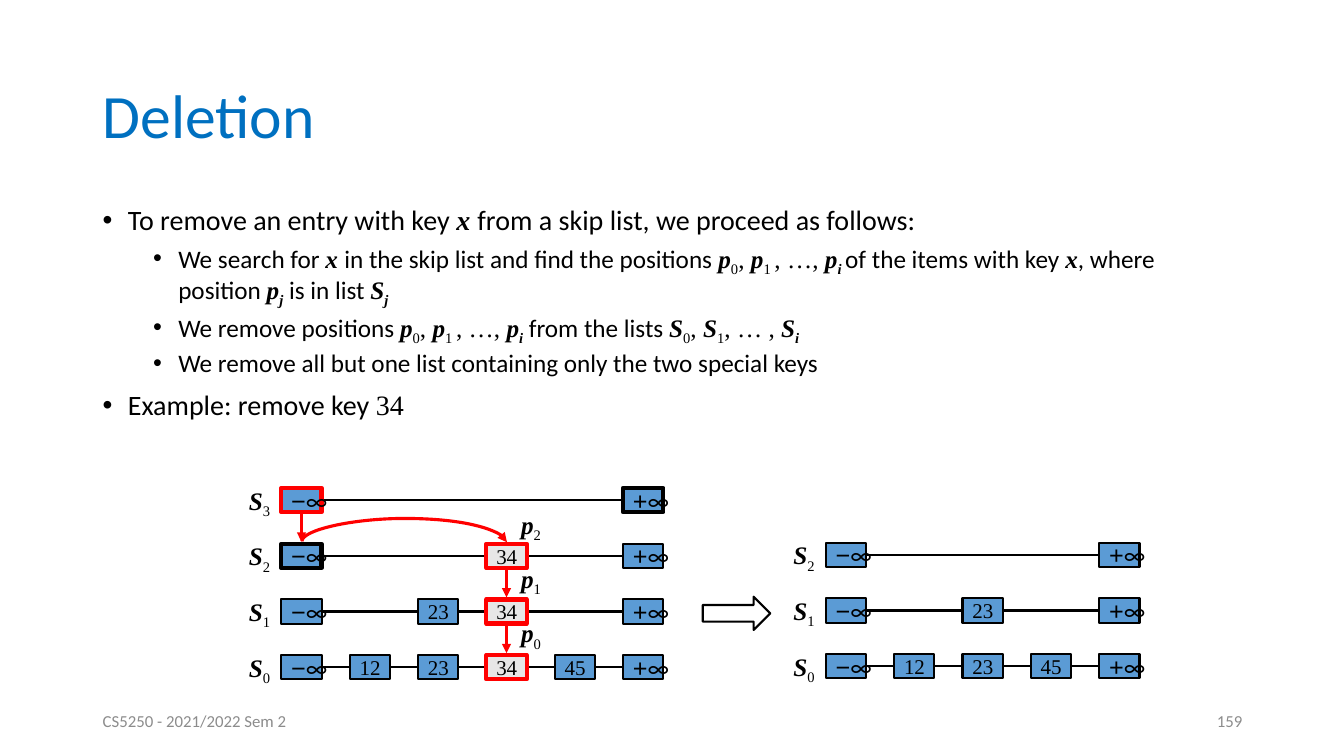
from pptx import Presentation
from pptx import util as u
from pptx.dml.color import RGBColor
from pptx.enum import shapes, text
from pptx.oxml import parse_xml
from pptx.oxml.ns import nsdecls

BLACK = RGBColor(0, 0, 0)
RED = RGBColor(0xFF, 0, 0)
BLUE = RGBColor(0x5B, 0x9B, 0xD5)
PALE = RGBColor(0xE7, 0xE6, 0xE6)
TITLE = RGBColor(0, 0x70, 0xC0)
GREY = RGBColor(0x8C, 0x8C, 0x8C)
SANS, SERIF = "Calibri", "Times New Roman"

# Run styles: font, bold italic, subscript
STYLE = {
    "text": (SANS, False, False), "var": (SERIF, True, False),
    "num": (SERIF, False, False), "sub": (SERIF, False, True),
    "varsub": (SERIF, True, True), "sign": ("Arial", False, False),
}

# Content: bullets as (level, runs)
POS = [("p", "var"), ("0", "sub"), (", ", "num"), ("p", "var"),
       ("1 ", "sub"), (", …, ", "num"), ("p", "var")]
BODY = [
    (0, [("To remove an entry with key ", "text"), ("x ", "var"),
         ("from a skip list, we proceed as follows:", "text")]),
    (1, [("We search for ", "text"), ("x ", "var"),
         ("in the skip list and find the positions ", "text"), *POS,
         ("i ", "varsub"), ("of the items with key ", "text"), ("x", "var"),
         (", where position ", "text"), ("p", "var"), ("j", "varsub"),
         (" is in list ", "text"), ("S", "var"), ("j", "varsub")]),
    (1, [("We remove positions ", "text"), *POS, ("i", "varsub"),
         (" from the lists ", "text"), ("S", "var"), ("0", "sub"),
         (", ", "num"), ("S", "var"), ("1", "sub"), (", … , ", "num"),
         ("S", "var"), ("i", "varsub")]),
    (1, [("We remove all but one list containing only the two special keys",
          "text")]),
    (0, [("Example: remove key ", "text"), ("34", "num")]),
]
# Bullet format by level: size, indent, space before
LEVEL = [(20, 0.25, 10), (18, 0.75, 5)]

# Skip lists: left, bottom row, keys by column, levels from S0 upwards
LISTS = [
    (2.79, 6.5, ["−∞", "12", "23", "34", "45", "+∞"],
     [[0, 1, 2, 3, 4, 5], [0, 2, 3, 5], [0, 3, 5], [0, 5]]),
    (8.19, 6.49, ["−∞", "12", "23", "45", "+∞"],
     [[0, 1, 2, 3, 4], [0, 2, 4], [0, 4]]),
]
# Outlines on the search path: (list, level, column)
MARK = {(0, 3, 0): RED, (0, 3, 5): BLACK, (0, 2, 0): BLACK,
        **{(0, lev, 3): RED for lev in range(3)}}
DROPS = [(3, 0), (2, 3), (1, 3)]  # arrows down: from level, column
CELL_W, CELL_H = 0.4, 0.24
COL, ROW = 0.678, 0.553

prs = Presentation()
prs.slide_width, prs.slide_height = u.Inches(13.33), u.Inches(7.5)
slide = prs.slides.add_slide(prs.slide_layouts[6])
parts = slide.shapes


def inch(*vals):
    return [u.Inches(v) for v in vals]


def put(para, runs, size, color=BLACK):
    for words, kind in runs:
        run = para.add_run()
        run.text = words
        name, strong, low = STYLE[kind]
        fmt = {"name": name, "size": u.Pt(size), "bold": strong,
               "italic": strong}
        for key, val in fmt.items():
            setattr(run.font, key, val)
        run.font.color.rgb = color
        if low:
            run.font._element.set("baseline", "-25000")


def box(at, anchor=text.MSO_ANCHOR.TOP, wrap=True):
    frame = parts.add_textbox(*inch(*at)).text_frame
    frame.word_wrap, frame.vertical_anchor = wrap, anchor
    return frame


def label(left, top, name, index):
    frame = box((left, top, 0.42, 0.4), wrap=False)
    frame.auto_size = text.MSO_AUTO_SIZE.SHAPE_TO_FIT_TEXT
    put(frame.paragraphs[0], [(name, "var"), (str(index), "sub")], 18)


def line(x1, y1, x2, y2, color=BLACK, width=1.5, head=False,
         kind=shapes.MSO_CONNECTOR.STRAIGHT):
    link = parts.add_connector(kind, *inch(x1, y1, x2, y2))
    link.line.color.rgb, link.line.width = color, u.Pt(width)
    if head:
        link.line._get_or_add_ln().append(parse_xml(
            f'<a:tailEnd {nsdecls("a")} type="triangle"/>'))
    link._element.spPr.append(parse_xml(f'<a:effectLst {nsdecls("a")}/>'))
    return link


def cell(left, top, key, mark):
    rect = parts.add_shape(shapes.MSO_SHAPE.RECTANGLE,
                           *inch(left, top, CELL_W, CELL_H))
    rect.shadow.inherit = False
    rect.fill.solid()
    rect.fill.fore_color.rgb = PALE if key == "34" else BLUE
    rect.line.color.rgb = mark or BLACK
    rect.line.width = u.Pt(3 if mark else 1.5)
    frame = rect.text_frame
    frame.word_wrap, frame.vertical_anchor = False, text.MSO_ANCHOR.MIDDLE
    para = frame.paragraphs[0]
    para.alignment = text.PP_ALIGN.LEFT
    if key.isdigit():
        put(para, [(key, "num")], 15)
    else:
        put(para, [(key[0], "sign"), (key[1], "text")], 18)


# Title and footer
MID = text.MSO_ANCHOR.MIDDLE
for at, words, size, color, align in [
        ((0.92, 0.4, 11.5, 1.45), "Deletion", 44, TITLE, "LEFT"),
        ((0.92, 6.95, 3, 0.4), "CS5250 - 2021/2022 Sem 2", 12, GREY, "LEFT"),
        ((9.42, 6.95, 3, 0.4), "159", 12, GREY, "RIGHT")]:
    para = box(at, MID).paragraphs[0]
    para.alignment = text.PP_ALIGN[align]
    put(para, [(words, "text")], size, color)

# Bullets
frame = box((0.92, 2, 11.5, 2.4))
for i, (lev, runs) in enumerate(BODY):
    para = frame.add_paragraph() if i else frame.paragraphs[0]
    size, indent, gap = LEVEL[lev]
    para.level, para.line_spacing = lev, 0.9
    para.space_before = u.Pt(gap if i else 0)
    props = para._p.get_or_add_pPr()
    props.set("marL", str(u.Inches(indent)))
    props.set("indent", str(u.Inches(-0.25)))
    for tag in ('buFont typeface="Arial"', 'buChar char="•"'):
        name, attr = tag.split(" ")
        props.append(parse_xml(f'<a:{name} {nsdecls("a")} {attr}/>'))
    put(para, runs, size)

# Skip lists before and after
for n, (left, base, keys, levels) in enumerate(LISTS):
    for lev, cols in enumerate(levels):
        top = base - lev * ROW
        mid = top + CELL_H / 2
        label(left - 0.42, top - 0.08, "S", lev)
        for a, b in zip(cols, cols[1:]):
            line(left + a * COL + CELL_W, mid, left + b * COL, mid)
        for col in cols:
            cell(left + col * COL, top, keys[col], MARK.get((n, lev, col)))

# Block arrow between the lists
block = parts.add_shape(shapes.MSO_SHAPE.RIGHT_ARROW,
                        *inch(6.97, 5.92, 0.67, 0.33))
block.shadow.inherit = False
block.fill.background()
block.line.color.rgb, block.line.width = BLACK, u.Pt(1.5)

# Search path: drops between levels, then the arc along S2
left, base = LISTS[0][:2]
for lev, col in DROPS:
    x = left + col * COL + CELL_W / 2
    top = base - lev * ROW
    line(x, top + CELL_H + 0.01, x, top + ROW - 0.02, RED, 2.25, True)
span = 3 * COL
x, y = left + CELL_W / 2 + span / 2, base - 2 * ROW - 0.02
arc = line(x, y + span / 2, x + 0.01, y - span / 2, RED, 2.25, True,
           shapes.MSO_CONNECTOR.CURVE)
arc._element.spPr.xfrm.set("rot", "5400000")
bend = arc._element.spPr.prstGeom.get_or_add_avLst()
bend.append(parse_xml(
    f'<a:gd {nsdecls("a")} name="adj1" fmla="val -2300000"/>'))

# Position labels
for i in range(3):
    label(5.07, 6.08 - 0.54 * i, "p", i)

prs.save("out.pptx")
